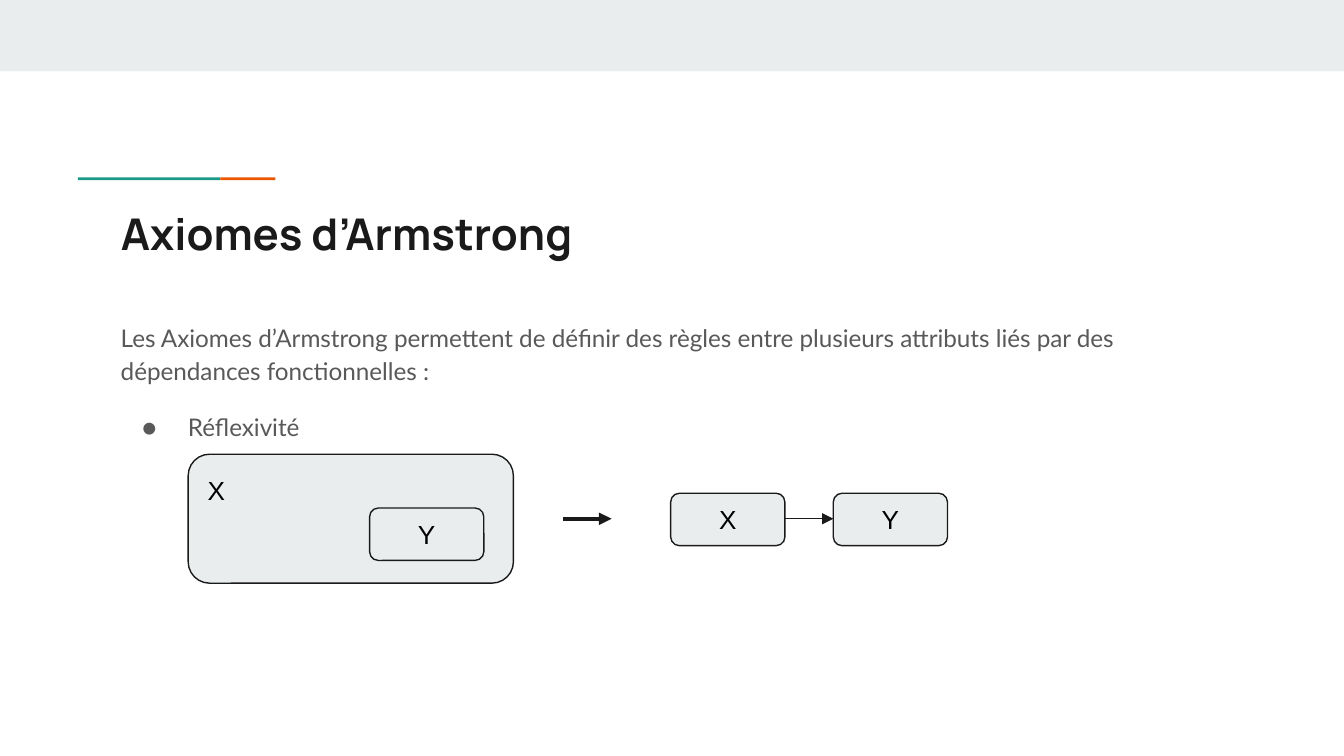
import pptx
import pptx.util
import pptx.dml.color
import pptx.enum.shapes
import pptx.enum.text
import pptx.oxml
import pptx.oxml.ns
import lxml.etree

Inches = pptx.util.Inches
Pt = pptx.util.Pt
RGBColor = pptx.dml.color.RGBColor
Shape = pptx.enum.shapes.MSO_SHAPE
Align = pptx.enum.text.PP_ALIGN
Anchor = pptx.enum.text.MSO_ANCHOR
qn = pptx.oxml.ns.qn

PALE = RGBColor(0xE9, 0xED, 0xEE)
GREEN = RGBColor(0x1A, 0x99, 0x88)
ORANGE = RGBColor(0xEB, 0x56, 0x00)
DARK = RGBColor(0x1A, 0x1A, 0x1A)
GRAY = RGBColor(0x59, 0x59, 0x59)
BLACK = RGBColor(0, 0, 0)


def add_run(para, text, font, size, color, bold=False):
    run = para.add_run()
    run.text = text
    run.font.name = font
    run.font.size = Pt(size)
    run.font.bold = bold
    run.font.color.rgb = color


def set_frame(frame, anchor):
    frame.word_wrap = True
    frame.auto_size = pptx.enum.text.MSO_AUTO_SIZE.NONE
    frame.vertical_anchor = anchor
    frame.margin_left = frame.margin_right = Inches(0.1)
    frame.margin_top = frame.margin_bottom = Inches(0.1)


deck = pptx.Presentation()
deck.slide_width = Inches(10)
deck.slide_height = Inches(10 * 9 / 16)
slide = deck.slides.add_slide(deck.slide_layouts[5])
shapes = slide.shapes

bars = [
    (0, 0, 10, 0.53, PALE),
    (0.58, 1.32, 1.06, 0.02, GREEN),
    (1.64, 1.32, 0.41, 0.02, ORANGE),
]
for left, top, width, height, color in bars:
    bar = shapes.add_shape(Shape.RECTANGLE, Inches(left), Inches(top), Inches(width), Inches(height))
    bar.shadow.inherit = False
    bar.fill.solid()
    bar.fill.fore_color.rgb = color
    bar.line.fill.background()

title = shapes.title
title.left, title.top = Inches(0.8), Inches(1.44)
title.width, title.height = Inches(8.41), Inches(0.59)
set_frame(title.text_frame, Anchor.TOP)
para = title.text_frame.paragraphs[0]
para.alignment = Align.LEFT
add_run(para, "Axiomes d’Armstrong", "Manrope", 23.4, DARK, True)

body = shapes.add_textbox(Inches(0.8), Inches(2.27), Inches(8.41), Inches(1.11))
set_frame(body.text_frame, Anchor.TOP)
para = body.text_frame.paragraphs[0]
para.line_spacing = 1.15
add_run(
    para,
    "Les Axiomes d’Armstrong permettent de définir des règles entre plusieurs "
    "attributs liés par des dépendances fonctionnelles :",
    "Lato", 13, GRAY,
)
para = body.text_frame.add_paragraph()
para.line_spacing = 1.15
para.space_before = Pt(12)
add_run(para, "Réflexivité", "Lato", 13, GRAY)
props = para._p.get_or_add_pPr()
props.set("marL", str(Inches(0.5)))
props.set("indent", str(Inches(-0.34)))
tint = lxml.etree.SubElement(props, qn("a:buClr"))
lxml.etree.SubElement(tint, qn("a:srgbClr")).set("val", str(GRAY))
lxml.etree.SubElement(props, qn("a:buFont")).set("typeface", "Lato")
lxml.etree.SubElement(props, qn("a:buChar")).set("char", "●")

boxes = [
    ("X", 1.4, 3.38, 2.42, 0.96, Anchor.TOP, Align.LEFT),
    ("Y", 2.75, 3.78, 0.85, 0.39, Anchor.MIDDLE, Align.CENTER),
    ("X", 4.99, 3.67, 0.85, 0.39, Anchor.MIDDLE, Align.CENTER),
    ("Y", 6.2, 3.67, 0.85, 0.39, Anchor.MIDDLE, Align.CENTER),
]
for name, left, top, width, height, anchor, align in boxes:
    box = shapes.add_shape(
        Shape.ROUNDED_RECTANGLE, Inches(left), Inches(top), Inches(width), Inches(height)
    )
    box.shadow.inherit = False
    box.fill.solid()
    box.fill.fore_color.rgb = PALE
    box.line.color.rgb = DARK
    box.line.width = Pt(0.75)
    set_frame(box.text_frame, anchor)
    para = box.text_frame.paragraphs[0]
    para.alignment = align
    add_run(para, name, "Arial", 14, BLACK)

for start, end, weight in [(5.84, 6.2, 0.75), (4.19, 4.55, 2.25)]:
    arrow = shapes.add_connector(
        pptx.enum.shapes.MSO_CONNECTOR.STRAIGHT,
        Inches(start), Inches(3.86), Inches(end), Inches(3.86),
    )
    arrow.line.color.rgb = DARK
    arrow.line.width = Pt(weight)
    edge = arrow.line._get_or_add_ln()
    lxml.etree.SubElement(edge, qn("a:tailEnd")).set("type", "triangle")
    lxml.etree.SubElement(arrow._element.spPr, qn("a:effectLst"))

deck.save("out.pptx")
